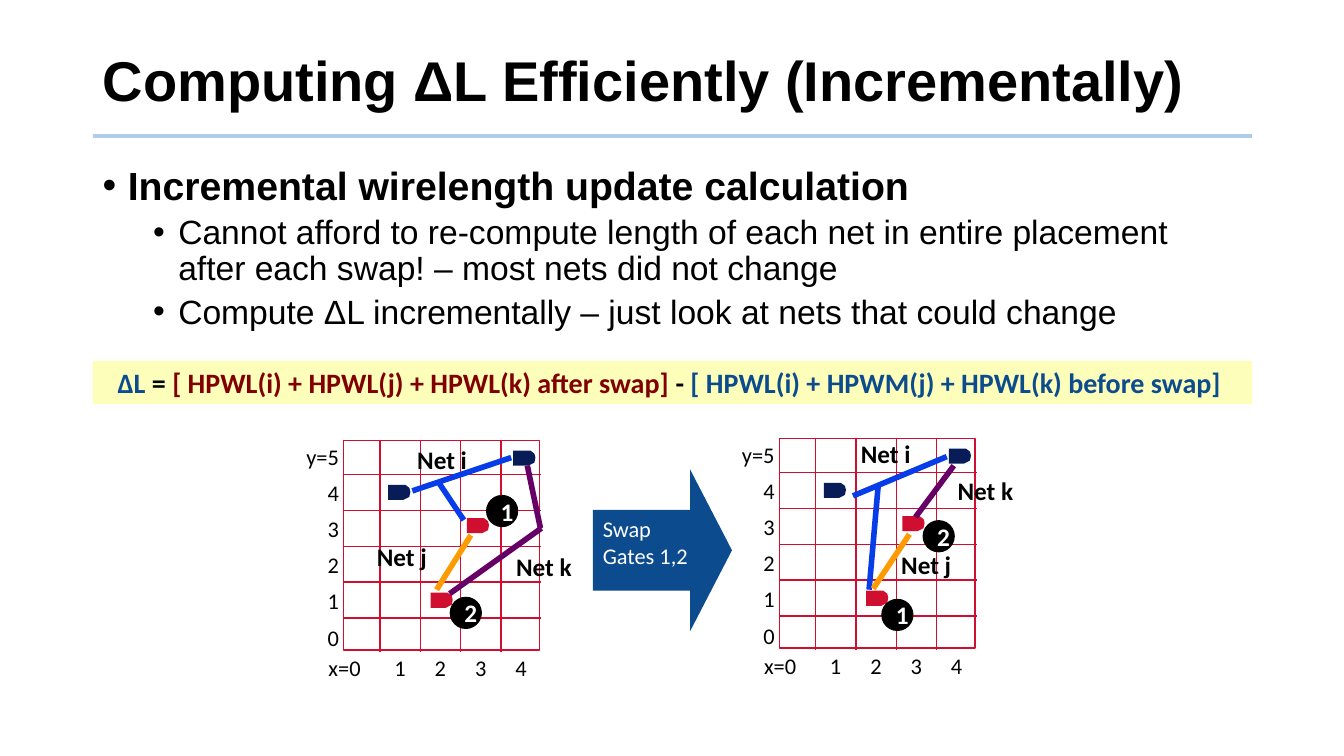
import pptx
import pptx.util
import pptx.dml.color
import pptx.enum.shapes
import pptx.enum.text
import pptx.oxml.ns
import lxml.etree

Inches, Pt = pptx.util.Inches, pptx.util.Pt
RGBColor = pptx.dml.color.RGBColor
MSO_SHAPE = pptx.enum.shapes.MSO_SHAPE
PP_ALIGN = pptx.enum.text.PP_ALIGN
MSO_ANCHOR = pptx.enum.text.MSO_ANCHOR
qn = pptx.oxml.ns.qn

BLACK = RGBColor(0x00, 0x00, 0x00)
WHITE = RGBColor(0xFF, 0xFF, 0xFF)
RULE = RGBColor(0xAD, 0xCD, 0xEA)
YELLOW = RGBColor(0xFC, 0xFE, 0xB9)
MAROON = RGBColor(0x80, 0x00, 0x00)
BLUE = RGBColor(0x0B, 0x4B, 0x8E)
RED = RGBColor(0xCF, 0x0E, 0x30)
NAVY = RGBColor(0x08, 0x1D, 0x58)
NET_I = RGBColor(0x06, 0x3D, 0xE8)
NET_J = RGBColor(0xFE, 0x9B, 0x03)
NET_K = RGBColor(0x66, 0x00, 0x66)

COLUMNS = [0.36 + 0.4 * i for i in range(4)]
ROWS = [0.34 + 0.355 * i for i in range(5)]
GATES = [(0.44, 0.44, NAVY), (0.86, 1.51, RED), (1.22, 0.77, RED), (1.68, 0.1, NAVY)]
GATE_OUTLINE = [(0, 0), (0, 0.15), (0.15, 0.15), (0.21, 0.12), (0.22, 0.07), (0.21, 0.03), (0.17, 0)]


def set_font(target, size, color, name="Calibri", bold=False):
    f = target.font
    f.size, f.name, f.bold = Pt(size), name, bold
    f.color.rgb = color


def add_line(s, start, end, color, width):
    c = s.shapes.add_connector(
        pptx.enum.shapes.MSO_CONNECTOR.STRAIGHT, *map(Inches, (*start, *end)))
    c.line.color.rgb = color
    c.line.width = Pt(width)
    lxml.etree.SubElement(c._element.spPr, qn("a:effectLst"))


def fill_shape(sp, color):
    sp.shadow.inherit = False
    sp.fill.solid()
    sp.fill.fore_color.rgb = color
    sp.line.fill.background()


def add_filled(s, kind, box, color):
    sp = s.shapes.add_shape(kind, *map(Inches, box))
    fill_shape(sp, color)
    sp.text_frame.word_wrap = True
    return sp


def write_lines(tf, lines, size, color, bold=False, align=PP_ALIGN.LEFT):
    tf.text = "\n".join(lines)
    for p in tf.paragraphs:
        p.alignment = align
        set_font(p, size, color, bold=bold)


def add_text(s, box, lines, size, **style):
    tf = s.shapes.add_textbox(*map(Inches, box)).text_frame
    tf.word_wrap = True
    write_lines(tf, lines, size, BLACK, **style)
    return tf


def add_bullet(p, text, level, size, bold):
    p.text = text
    p.level = level
    p.line_spacing = 0.9
    pPr = p._p.get_or_add_pPr()
    pPr.set("marL", str(Inches(0.25 + 0.5 * level)))
    pPr.set("indent", str(Inches(-0.25)))
    lxml.etree.SubElement(pPr, qn("a:buFont"), typeface="Arial")
    lxml.etree.SubElement(pPr, qn("a:buChar"), char="•")
    set_font(p, size, BLACK, "Arial", bold)


def add_heading(s):
    add_line(s, (0.92, 1.35), (12.42, 1.35), RULE, 3)
    title = s.shapes.title
    title.left, title.top, title.width, title.height = map(Inches, (0.92, 0.28, 11.5, 1.1))
    tf = title.text_frame
    tf.text = "Computing ΔL Efficiently (Incrementally)"
    tf.auto_size = pptx.enum.text.MSO_AUTO_SIZE.NONE
    tf.vertical_anchor = MSO_ANCHOR.MIDDLE
    p = tf.paragraphs[0]
    p.alignment = PP_ALIGN.LEFT
    p.line_spacing = 0.9
    set_font(p, 40, BLACK, "Arial", True)


def add_body(s):
    tf = s.shapes.add_textbox(*map(Inches, (0.92, 1.6, 11.5, 1.9))).text_frame
    tf.word_wrap = True
    add_bullet(tf.paragraphs[0], "Incremental wirelength update calculation", 0, 28, True)
    for text in ("Cannot afford to re-compute length of each net in entire placement "
                 "after each swap! – most nets did not change",
                 "Compute ΔL incrementally – just look at nets that could change"):
        p = tf.add_paragraph()
        p.space_before = Pt(5)
        add_bullet(p, text, 1, 24, False)


def add_formula(s):
    sp = add_filled(s, MSO_SHAPE.RECTANGLE, (0.92, 3.58, 11.5, 0.43), YELLOW)
    p = sp.text_frame.paragraphs[0]
    p.alignment = PP_ALIGN.CENTER
    for text, color in (("ΔL", BLUE), (" = ", BLACK),
                        ("[ HPWL(i) + HPWL(j) + HPWL(k) after swap]", MAROON),
                        (" - ", BLACK),
                        ("[ HPWL(i) + HPWM(j) + HPWL(k) before swap] ", BLUE)):
        r = p.add_run()
        r.text = text
        set_font(r, 20, color, bold=True)


def add_gate(s, x, y, color):
    points = [(Inches(x + dx), Inches(y + dy)) for dx, dy in GATE_OUTLINE]
    fb = s.shapes.build_freeform(*points[0])
    fb.add_line_segments(points[1:], close=True)
    fill_shape(fb.convert_to_shape(), color)


def add_axes(s, x, y):
    tf = add_text(s, (x - 0.25, y + 2.07, 2.2, 0.37), ["x=0\t1\t2\t3\t4"], 16)
    pPr = tf.paragraphs[0]._p.get_or_add_pPr()
    tabs = lxml.etree.Element(qn("a:tabLst"))
    pPr.insert(0, tabs)
    for column in COLUMNS:
        lxml.etree.SubElement(
            tabs, qn("a:tab"), pos=str(Inches(column + 0.35)), algn="ctr")
    tf = add_text(s, (x - 0.54, y - 0.12, 0.59, 2.26),
                  ["y=5", "4", "3", "2", "1", "0"], 16, align=PP_ALIGN.RIGHT)
    for p in tf.paragraphs:
        p.line_spacing = 1.35


def add_placement(s, x, y, nets, badges, labels):
    frame = s.shapes.add_shape(MSO_SHAPE.RECTANGLE, *map(Inches, (x, y, 1.94, 2.08)))
    frame.shadow.inherit = False
    frame.fill.background()
    frame.line.color.rgb = RED
    frame.line.width = Pt(1)
    for column in COLUMNS:
        add_line(s, (x + column, y), (x + column, y + 2.1), RED, 1)
    for row in ROWS:
        add_line(s, (x, y + row), (x + 1.96, y + row), RED, 1)
    for dx, dy, color in GATES:
        add_gate(s, x + dx, y + dy, color)
    add_axes(s, x, y)
    for start, end, color in nets:
        add_line(s, start, end, color, 4)
    for number, left, top in badges:
        tf = add_filled(s, MSO_SHAPE.OVAL, (left, top, 0.32, 0.32), BLACK).text_frame
        tf.vertical_anchor = MSO_ANCHOR.MIDDLE
        write_lines(tf, [number], 18, WHITE, bold=True)
    for name, left, top in labels:
        add_text(s, (left, top, 0.83, 0.4), [name], 18, bold=True)


def add_swap_arrow(s):
    sp = add_filled(s, MSO_SHAPE.RIGHT_ARROW, (5.88, 4.66, 1.38, 1.6), BLUE)
    sp.adjustments[1] = 0.3
    sp.text_frame.vertical_anchor = MSO_ANCHOR.TOP
    write_lines(sp.text_frame, ["Swap", "Gates 1,2"], 16, WHITE)


def main():
    prs = pptx.Presentation()
    prs.slide_width, prs.slide_height = Inches(13.33), Inches(7.5)
    s = prs.slides.add_slide(prs.slide_layouts[5])
    add_heading(s)
    add_body(s)
    add_formula(s)
    add_placement(
        s, 3.41, 4.37,
        [((4.09, 4.87), (5.07, 4.54), NET_I), ((4.36, 4.8), (4.6, 5.16), NET_I),
         ((4.67, 5.31), (4.33, 5.85), NET_J), ((5.37, 5.24), (4.46, 5.89), NET_K),
         ((5.23, 4.62), (5.36, 5.24), NET_K)],
        [("1", 4.82, 4.91), ("2", 4.46, 5.92)],
        [("Net i", 4.04, 4.36), ("Net j", 3.64, 5.32), ("Net k", 5.02, 5.42)])
    add_swap_arrow(s)
    add_placement(
        s, 7.73, 4.35,
        [((8.46, 4.92), (9.39, 4.53), NET_I), ((8.71, 4.82), (8.62, 5.85), NET_I),
         ((9.02, 5.3), (8.66, 5.84), NET_J), ((9.46, 4.62), (9.08, 5.13), NET_K)],
        [("1", 8.74, 5.94), ("2", 9.15, 5.16)],
        [("Net i", 8.44, 4.3), ("Net j", 8.84, 5.4), ("Net k", 9.4, 4.67)])
    prs.save("out.pptx")


if __name__ == "__main__":
    main()
